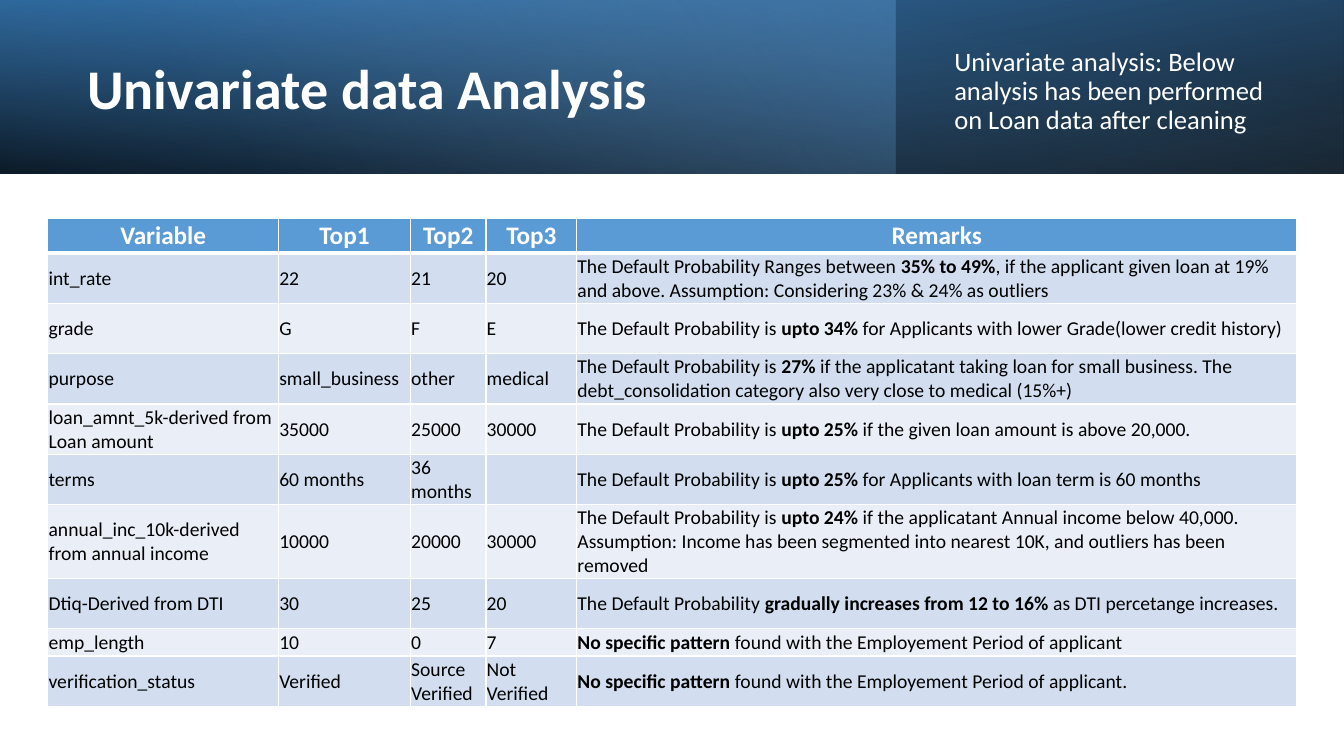
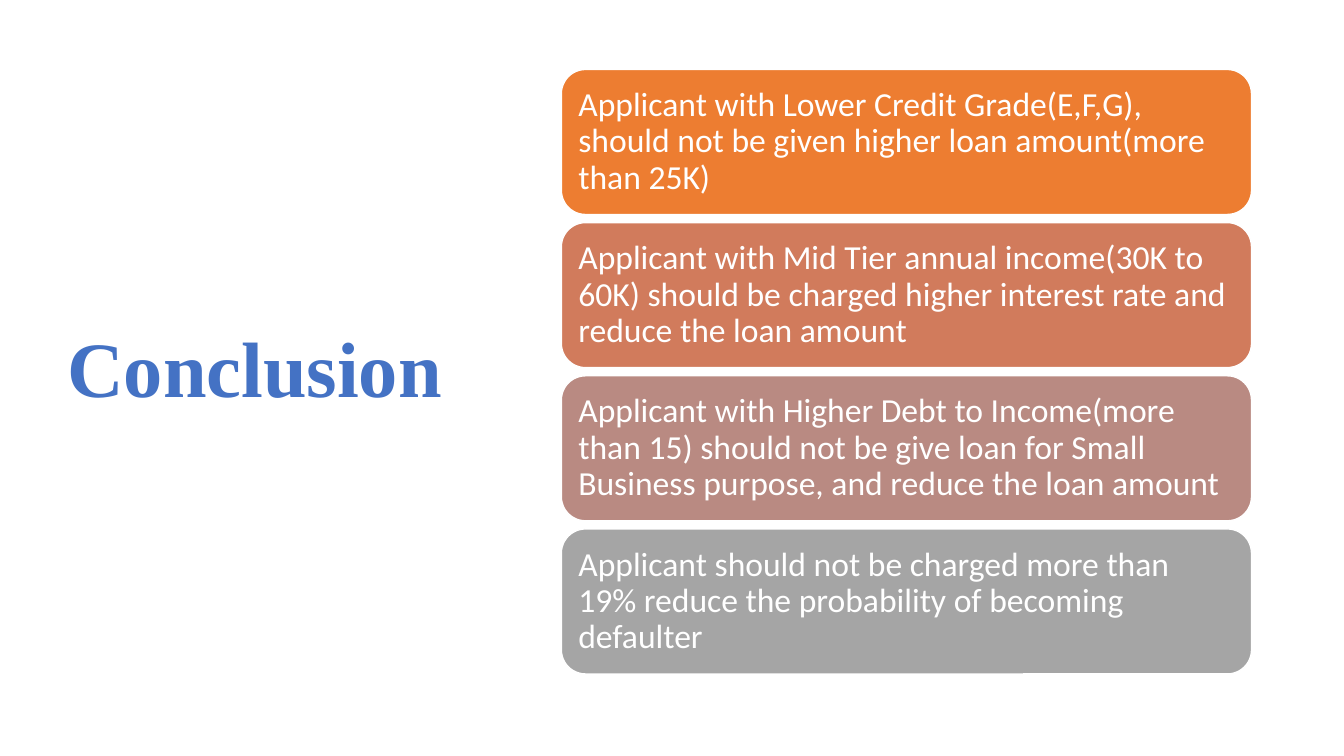
"""Build the univariate analysis and conclusion slides of a loan study."""
from lxml import etree
from pptx import Presentation
from pptx.dml.color import RGBColor
from pptx.enum import shapes, text
from pptx.oxml import ns
from pptx.util import Pt

WHITE = RGBColor(0xFF, 0xFF, 0xFF)
BLACK = RGBColor(0x00, 0x00, 0x00)
HEADER_BLUE = RGBColor(0x5B, 0x9B, 0xD5)
DEEP_BLUE = RGBColor(0x2E, 0x75, 0xB6)
PALE_BLUE = RGBColor(0x9D, 0xC3, 0xE6)
BANDS = [RGBColor(0xEA, 0xEF, 0xF7), RGBColor(0xD2, 0xDE, 0xEF)]
TITLE_BLUE = RGBColor(0x44, 0x72, 0xC4)
ORANGE = RGBColor(0xED, 0x7D, 0x31)
TERRACOTTA = RGBColor(0xD1, 0x7B, 0x5C)
ROSE = RGBColor(0xB9, 0x8A, 0x82)
GREY = RGBColor(0xA5, 0xA5, 0xA5)
BODY_FONT = "Calibri"


def write(frame, wording, size, color, bold=False, font=BODY_FONT, spacing=0.9):
    """Fill a frame with one paragraph; parts between bars are bold."""
    frame.word_wrap = True
    para = frame.paragraphs[0]
    para.alignment = text.PP_ALIGN.LEFT
    para.line_spacing = spacing
    for index, part in enumerate(wording.split("|")):
        if part:
            span = para.add_run()
            span.text = part
            span.font.name = font
            span.font.size = Pt(size)
            span.font.bold = bold or index % 2 == 1
            span.font.color.rgb = color
    return para


def add_text(page, left, top, width, height, wording, size, color, **style):
    """Add a vertically centred text box."""
    box = page.shapes.add_textbox(Pt(left), Pt(top), Pt(width), Pt(height))
    box.text_frame.vertical_anchor = text.MSO_ANCHOR.MIDDLE
    write(box.text_frame, wording, size, color, **style)


deck = Presentation()
deck.slide_width, deck.slide_height = Pt(960), Pt(540)
blank = deck.slide_layouts[6]

analysis = deck.slides.add_slide(blank)
header_layers = [
    (960, 180, True, 100, [(0, BLACK, 96), (100, DEEP_BLUE, 100)]),
    (640, 0, False, 140, [(0, HEADER_BLUE, 41), (74, PALE_BLUE, 0)]),
    (960, 0, True, 260, [(0, BLACK, 63), (78, HEADER_BLUE, 15)]),
]
for width, rotation, flipped, angle, stops in header_layers:
    layer = analysis.shapes.add_shape(
        shapes.MSO_SHAPE.RECTANGLE, 0, 0, Pt(width), Pt(124))
    layer.shadow.inherit = False
    layer.line.fill.background()
    layer.rotation = rotation
    properties = layer.element.spPr
    if flipped:
        properties.find(ns.qn("a:xfrm")).set("flipH", "1")
    gradient = etree.Element(ns.qn("a:gradFill"), rotWithShape="1")
    stop_list = etree.SubElement(gradient, ns.qn("a:gsLst"))
    for position, color, opacity in stops:
        stop = etree.SubElement(stop_list, ns.qn("a:gs"), pos=str(position * 1000))
        tint = etree.SubElement(stop, ns.qn("a:srgbClr"), val=str(color))
        etree.SubElement(tint, ns.qn("a:alpha"), val=str(opacity * 1000))
    etree.SubElement(gradient, ns.qn("a:lin"), ang=str(angle * 60000), scaled="0")
    properties.find(ns.qn("a:prstGeom")).addnext(gradient)

add_text(analysis, 55.4, 19.4, 556, 91.4, "Univariate data Analysis", 40, WHITE, bold=True)
add_text(analysis, 674.6, 31, 255, 69,
         "Univariate analysis: Below analysis has been performed on Loan data after cleaning",
         19, WHITE)

column_widths = [164.8, 94.2, 54, 64.8, 514.2]
row_heights = [24.4, 36, 36, 36, 36, 36, 52.4, 36, 19.6, 36]
findings = [
    ["Variable", "Top1", "Top2", "Top3", "Remarks"],
    ["int_rate", "22", "21", "20",
     "The Default Probability Ranges between |35% to 49%|, if the applicant given loan "
     "at 19% and above. Assumption: Considering 23% & 24% as outliers"],
    ["grade", "G", "F", "E",
     "The Default Probability is |upto 34%| for Applicants with lower Grade"
     "(lower credit history)"],
    ["purpose", "small_business", "other", "medical",
     "The Default Probability is |27%| if the applicatant taking loan for small business. "
     "The debt_consolidation category also very close to medical (15%+)"],
    ["loan_amnt_5k-derived from Loan amount", "35000", "25000", "30000",
     "The Default Probability is |upto 25%| if the given loan amount is above 20,000."],
    ["terms", "60 months", "36 months", "",
     "The Default Probability is |upto 25%| for Applicants with loan term is 60 months"],
    ["annual_inc_10k-derived from annual income", "10000", "20000", "30000",
     "The Default Probability is |upto 24%| if the applicatant Annual income below 40,000. "
     "Assumption: Income has been segmented into nearest 10K, and outliers has been removed"],
    ["Dtiq-Derived from DTI", "30", "25", "20",
     "The Default Probability |gradually increases from 12 to 16%| as DTI percetange "
     "increases."],
    ["emp_length", "10", "0", "7",
     "|No specific pattern| found with the Employement Period of applicant"],
    ["verification_status", "Verified", "Source Verified", "Not Verified",
     "|No specific pattern| found with the Employement Period of applicant."],
]
table = analysis.shapes.add_table(
    len(findings), len(column_widths), Pt(34.2), Pt(156.2),
    Pt(sum(column_widths)), Pt(sum(row_heights))).table
for column, width in zip(table.columns, column_widths):
    column.width = Pt(width)
for row_index, (row, height, wordings) in enumerate(zip(table.rows, row_heights, findings)):
    row.height = Pt(height)
    heading = row_index == 0
    for cell, wording in zip(row.cells, wordings):
        cell.margin_left = cell.margin_right = cell.margin_top = Pt(0.5)
        cell.margin_bottom = 0
        cell.vertical_anchor = text.MSO_ANCHOR.MIDDLE
        cell_properties = cell._tc.get_or_add_tcPr()
        for side in "LRTB":
            thick = (heading and side == "B") or (row_index == 1 and side == "T")
            border = etree.SubElement(cell_properties, ns.qn("a:ln" + side),
                                      w=str(Pt(3 if thick else 1)))
            border_fill = etree.SubElement(border, ns.qn("a:solidFill"))
            etree.SubElement(border_fill, ns.qn("a:srgbClr"), val=str(WHITE))
        cell.fill.solid()
        cell.fill.fore_color.rgb = HEADER_BLUE if heading else BANDS[row_index % 2]
        para = write(cell.text_frame, wording, 18 if heading else 14,
                     WHITE if heading else BLACK, bold=heading, spacing=1.0)
        if heading:
            para.alignment = text.PP_ALIGN.CENTER

conclusion = deck.slides.add_slide(blank)
add_text(conclusion, 41, 49, 299.5, 433.4, "Conclusion", 56, TITLE_BLUE,
         bold=True, font="Times New Roman")
recommendations = [
    (ORANGE, "Applicant with Lower Credit Grade(E,F,G), should not be given higher loan "
             "amount(more than 25K)"),
    (TERRACOTTA, "Applicant with Mid Tier annual income(30K to 60K) should be charged higher "
                 "interest rate and reduce the loan amount"),
    (ROSE, "Applicant with Higher Debt to Income(more than 15) should not be give loan for "
           "Small Business purpose, and reduce the loan amount"),
    (GREY, "Applicant should not be charged more than 19% reduce the probability of "
           "becoming defaulter"),
]
for index, (color, wording) in enumerate(recommendations):
    card = conclusion.shapes.add_shape(
        shapes.MSO_SHAPE.ROUNDED_RECTANGLE, Pt(401), Pt(49.6 + 109.4 * index),
        Pt(493), Pt(103.6))
    card.shadow.inherit = False
    card.fill.solid()
    card.fill.fore_color.rgb = color
    card.line.color.rgb = WHITE
    card.line.width = Pt(1)
    frame = card.text_frame
    frame.vertical_anchor = text.MSO_ANCHOR.MIDDLE
    frame.margin_left = frame.margin_right = Pt(7.2)
    frame.margin_top = frame.margin_bottom = Pt(7.2)
    write(frame, wording, 24, WHITE)

deck.save("out.pptx")
